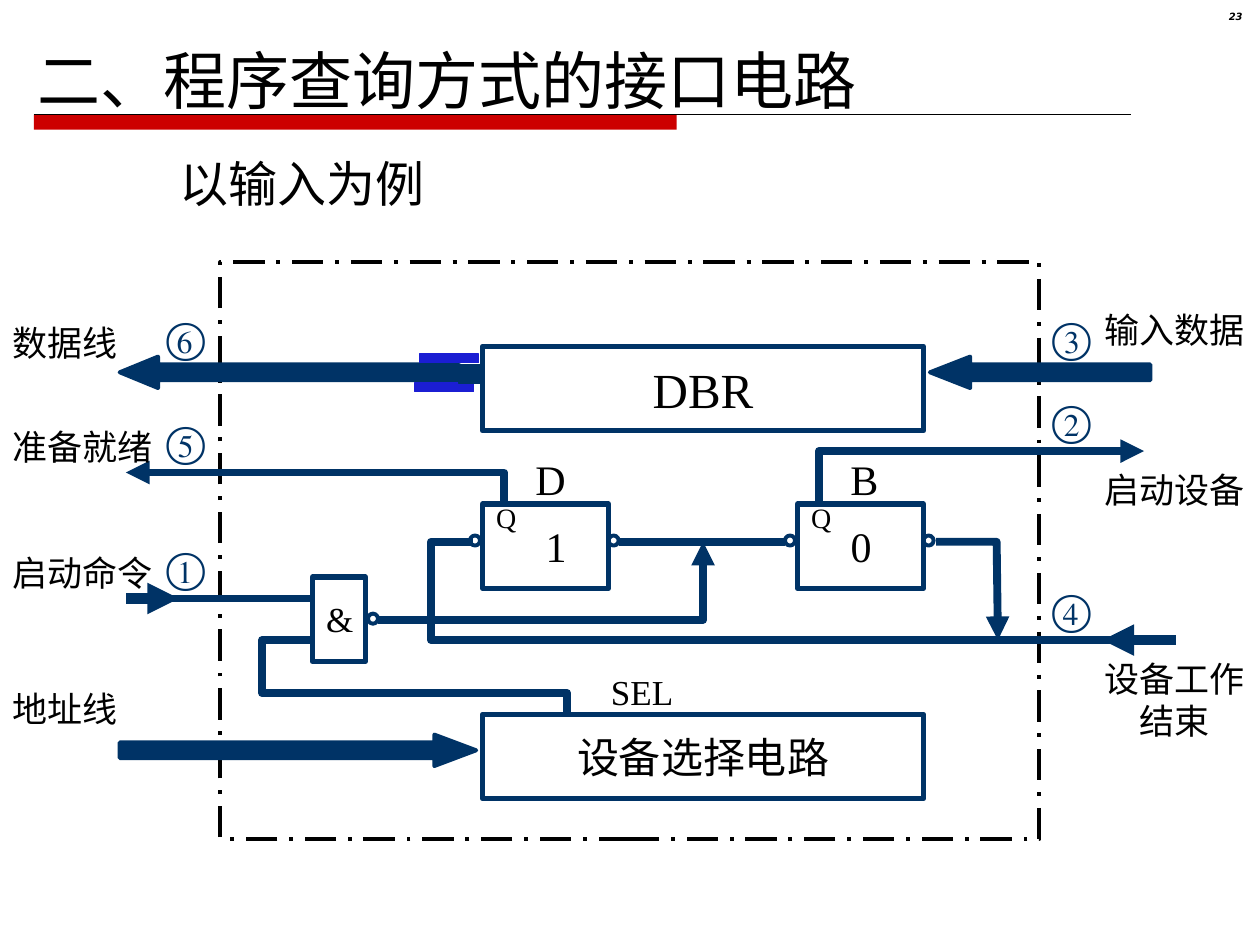
"""Build the slide on the interface circuit for programmed polling input."""
import lxml.etree
import pptx
import pptx.dml.color
import pptx.enum.dml
import pptx.enum.shapes
import pptx.enum.text
import pptx.oxml.ns
import pptx.util

Inches = pptx.util.Inches
Pt = pptx.util.Pt
SHAPE = pptx.enum.shapes.MSO_SHAPE
ALIGN = pptx.enum.text.PP_ALIGN
ANCHOR = pptx.enum.text.MSO_ANCHOR
AUTO_SIZE = pptx.enum.text.MSO_AUTO_SIZE
qn = pptx.oxml.ns.qn

BLACK = pptx.dml.color.RGBColor(0x00, 0x00, 0x00)
WHITE = pptx.dml.color.RGBColor(0xFF, 0xFF, 0xFF)
NAVY = pptx.dml.color.RGBColor(0x00, 0x33, 0x66)
RED = pptx.dml.color.RGBColor(0xCC, 0x00, 0x00)
BLUE = pptx.dml.color.RGBColor(0x1B, 0x1E, 0xD3)


def write(holder, text, size, color=BLACK, align=ALIGN.LEFT, anchor=ANCHOR.TOP, wrap=False, **extra):
    frame = holder.text_frame
    frame_format = {"word_wrap": wrap, "auto_size": AUTO_SIZE.NONE, "vertical_anchor": anchor}
    for name, value in frame_format.items():
        setattr(frame, name, value)
    font_format = {"name": "Times New Roman", "size": Pt(size), **extra}
    for index, words in enumerate(text.split("\n")):
        para = frame.add_paragraph() if index else frame.paragraphs[0]
        para.alignment = align
        span = para.add_run()
        span.text = words
        span.font.color.rgb = color
        for name, value in font_format.items():
            setattr(span.font, name, value)


def add_block(kind, place, fill, color, weight):
    block = slide.shapes.add_shape(kind, *map(Inches, place))
    block.shadow.inherit = False
    if fill is None:
        block.fill.background()
    else:
        block.fill.solid()
        block.fill.fore_color.rgb = fill
    block.line.color.rgb = color
    block.line.width = Pt(weight)
    return block


deck = pptx.Presentation()
deck.slide_width, deck.slide_height = Inches(10), Inches(7.5)
slide = deck.slides.add_slide(deck.slide_layouts[5])

title = slide.shapes.title
title_place = {"left": 0.2, "top": 0.28, "width": 7.68, "height": 0.7}
for name, value in title_place.items():
    setattr(title, name, Inches(value))
write(title, "二、程序查询方式的接口电路", 36, wrap=True)

title_bar = add_block(SHAPE.RECTANGLE, (0.27, 0.91, 5.1, 0.12), RED, RED, 0.75)
title_bar.line.fill.background()

page_number = slide.shapes.add_textbox(*map(Inches, (9.37, 0.05, 0.59, 0.23)))
write(page_number, "23", 5.7, align=ALIGN.RIGHT, wrap=True, name="DejaVu Sans", bold=True, italic=True)
page_number.text_frame.paragraphs[0].line_spacing = 0.8

border = add_block(SHAPE.RECTANGLE, (1.75, 2.08, 6.5, 4.58), None, BLACK, 2.25)
border.line.dash_style = pptx.enum.dml.MSO_LINE.LONG_DASH_DOT

wires = [
    ([(0.27, 0.91), (8.98, 0.91)], BLACK, 0.75, False),
    ([(1.33, 4.75), (2.5, 4.75)], NAVY, 4.5, False),
    ([(1, 4.75), (1.42, 4.75)], NAVY, 6, True),
    ([(3, 4.92), (5.58, 4.92), (5.58, 4.3)], NAVY, 4.5, True),
    ([(6.5, 4), (6.5, 3.58), (9.08, 3.58)], NAVY, 4.5, True),
    ([(4, 4), (4, 3.75), (1, 3.75)], NAVY, 4.5, True),
    ([(4.91, 4.3), (6.23, 4.3)], NAVY, 4.5, False),
    ([(7.43, 4.3), (7.91, 4.3), (7.92, 5.08)], NAVY, 4.5, True),
    ([(9.33, 5.08), (8.75, 5.08)], NAVY, 6, True),
    ([(3.75, 4.3), (3.42, 4.3), (3.42, 5.08), (8.83, 5.08)], NAVY, 4.5, False),
    ([(2.5, 5.08), (2.08, 5.08), (2.08, 5.5), (4.5, 5.5), (4.5, 5.67)], NAVY, 4.5, False),
]
for points, color, weight, arrow in wires:
    corners = [(Inches(x), Inches(y)) for x, y in points]
    if len(corners) == 2:
        wire = slide.shapes.add_connector(
            pptx.enum.shapes.MSO_CONNECTOR.STRAIGHT, *corners[0], *corners[1])
    else:
        outline = slide.shapes.build_freeform(*corners[0])
        outline.add_line_segments(corners[1:], close=False)
        wire = outline.convert_to_shape()
        wire.fill.background()
    wire.line.color.rgb = color
    wire.line.width = Pt(weight)
    properties = wire._element.spPr
    if arrow:
        lxml.etree.SubElement(properties.find(qn("a:ln")), qn("a:tailEnd"), type="triangle")
    lxml.etree.SubElement(properties, qn("a:effectLst"))

boxes = [
    ("DBR", 28, (3.83, 2.75, 3.5, 0.67)),
    ("设备选择电路", 24, (3.83, 5.67, 3.5, 0.67)),
    ("", 24, (3.83, 4, 1, 0.67)),
    ("", 24, (6.33, 4, 1, 0.67)),
    ("", 20, (2.48, 4.58, 0.42, 0.67)),
]
for text, size, place in boxes:
    box = add_block(SHAPE.RECTANGLE, place, None, NAVY, 3)
    if text:
        write(box, text, size, align=ALIGN.CENTER, anchor=ANCHOR.MIDDLE)

for text, left in [("1", 4.25), ("0", 6.67)]:
    state = add_block(SHAPE.RECTANGLE, (left, 4.08, 0.33, 0.5), WHITE, WHITE, 0.75)
    write(state, text, 24, align=ALIGN.CENTER, anchor=ANCHOR.MIDDLE)

for left, top in [(2.92, 4.87), (3.73, 4.25), (4.83, 4.25), (6.23, 4.25), (7.33, 4.25)]:
    add_block(SHAPE.OVAL, (left, top, 0.08, 0.08), None, NAVY, 2.25)

bus_arrows = [
    (SHAPE.LEFT_ARROW, 7.38, 2.83, 1.75, 1.28),
    (SHAPE.RIGHT_ARROW, 0.95, 5.83, 2.83, 1.33),
    (SHAPE.LEFT_RIGHT_ARROW, 0.95, 2.83, 2.83, 1.22),
]
for kind, left, top, width, head in bus_arrows:
    bus = add_block(kind, (left, top, width, 0.25), NAVY, NAVY, 2.25)
    bus.adjustments[0] = 0.5
    bus.adjustments[1] = head

for place, color in [
    ((3.33, 2.81, 0.47, 0.07), BLUE),
    ((3.29, 3.04, 0.47, 0.07), BLUE),
    ((3.64, 2.89, 0.18, 0.15), NAVY),
]:
    add_block(SHAPE.RECTANGLE, place, color, color, 0.75)

labels = [
    ("以输入为例", 28, BLACK, 1.33, 1.17, 5.17, 0.57),
    ("数据线", 20, BLACK, 0, 2.5, 1.03, 0.44),
    ("准备就绪", 20, BLACK, 0, 3.33, 1.31, 0.44),
    ("启动命令", 20, BLACK, 0, 4.33, 1.31, 0.44),
    ("地址线", 20, BLACK, 0, 5.41, 1.03, 0.44),
    ("输入数据", 20, BLACK, 8.67, 2.4, 1.31, 0.44),
    ("启动设备", 20, BLACK, 8.67, 3.67, 1.31, 0.44),
    ("设备工作\n结束", 20, BLACK, 8.67, 5.17, 1.31, 0.77),
    ("SEL", 20, BLACK, 4.75, 5.27, 0.69, 0.44),
    ("&", 20, BLACK, 2.49, 4.69, 0.41, 0.44),
    ("Q", 16, BLACK, 3.84, 3.92, 0.36, 0.37),
    ("Q", 16, BLACK, 6.34, 3.92, 0.36, 0.37),
    ("D", 24, BLACK, 4.15, 3.55, 0.44, 0.5),
    ("B", 24, BLACK, 6.65, 3.55, 0.42, 0.5),
    ("①", 24, NAVY, 1.22, 4.25, 0.53, 0.5),
    ("②", 24, NAVY, 8.25, 3.08, 0.53, 0.5),
    ("③", 24, NAVY, 8.25, 2.42, 0.53, 0.5),
    ("④", 24, NAVY, 8.25, 4.58, 0.53, 0.5),
    ("⑤", 24, NAVY, 1.22, 3.25, 0.53, 0.5),
    ("⑥", 24, NAVY, 1.22, 2.42, 0.53, 0.5),
]
for text, size, color, *place in labels:
    label = slide.shapes.add_textbox(*map(Inches, place))
    write(label, text, size, color, align=ALIGN.CENTER if "\n" in text else ALIGN.LEFT)

deck.save("out.pptx")
